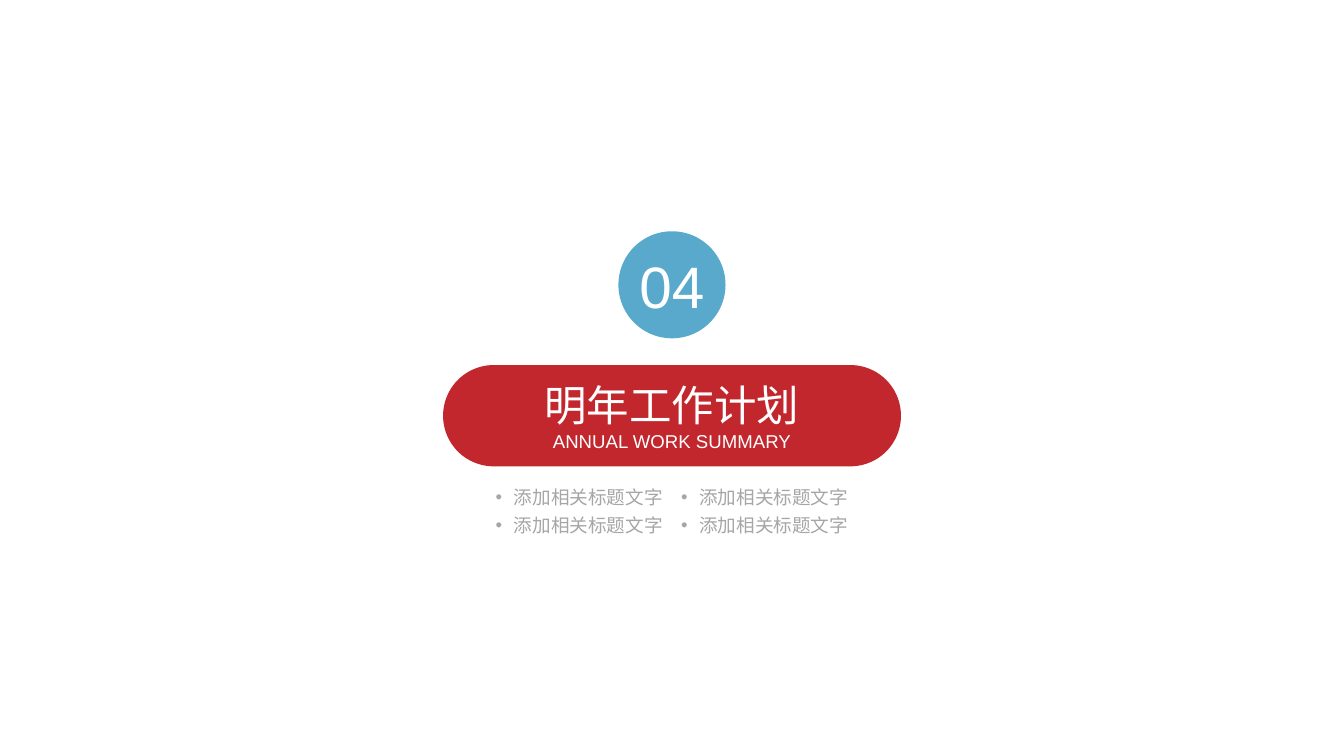
"""Build the section slide for part 04, next year's work plan."""
from dataclasses import dataclass
from itertools import product

from lxml.etree import SubElement
from pptx import Presentation
from pptx.dml.color import RGBColor
from pptx.enum.shapes import MSO_SHAPE
from pptx.enum.text import MSO_ANCHOR, MSO_AUTO_SIZE, PP_ALIGN
from pptx.oxml.ns import qn
from pptx.util import Emu, Inches, Pt

WIDTH, HEIGHT = Inches(14.06), Inches(7.91)
RED, BLUE, WHITE, GREY = "C1272D", "58A9CC", "FFFFFF", "A6A6A6"


@dataclass(frozen=True)
class Box:
    """A horizontally centred area, in percent of the slide's size."""
    top: float
    width: float
    height: float
    centre: float = 50

    def frame(self) -> tuple[Emu, Emu, Emu, Emu]:
        """Return left, top, width and height as lengths."""
        return (Emu(int(WIDTH * (self.centre - self.width / 2) / 100)),
                Emu(int(HEIGHT * self.top / 100)),
                Emu(int(WIDTH * self.width / 100)),
                Emu(int(HEIGHT * self.height / 100)))


PILL = Box(48.29, 34.07, 13.4)
BADGE = Box(30.59, 7.97, 14.16)
TITLE = Box(50.06, 19.7, 9.73)
ITEMS = [Box(64.22 + 3.8 * row, 12.52, 3.03, 50 + 6.9 * side)
         for row, side in product((0, 1), (-1, 1))]


def rgb(colour: str) -> RGBColor:
    """Turn a hex string into a colour."""
    return RGBColor.from_string(colour)


def add_filled(s, kind: MSO_SHAPE, box: Box, colour: str):
    """Add a flat shape without outline."""
    sp = s.shapes.add_shape(kind, *box.frame())
    sp.shadow.inherit = False
    sp.fill.solid()
    sp.fill.fore_color.rgb = rgb(colour)
    sp.line.fill.background()
    return sp


def place(sp, box: Box) -> None:
    """Move a placeholder into its box."""
    sp.left, sp.top, sp.width, sp.height = box.frame()


def write(sp, *runs: tuple[str, float], colour: str = WHITE,
          anchor: MSO_ANCHOR = MSO_ANCHOR.MIDDLE, wrap: bool = True,
          fit: MSO_AUTO_SIZE = MSO_AUTO_SIZE.SHAPE_TO_FIT_TEXT):
    """Write runs of text and size as one centred paragraph."""
    tf = sp.text_frame
    tf.margin_left = tf.margin_top = tf.margin_right = tf.margin_bottom = 0
    tf.vertical_anchor, tf.word_wrap, tf.auto_size = anchor, wrap, fit
    p = tf.paragraphs[0]
    p.alignment = PP_ALIGN.CENTER
    p.space_before = Pt(0)
    for text, size in runs:
        r = p.add_run()
        r.text = text
        r.font.name, r.font.size, r.font.bold = "Arial", Pt(size), False
        r.font.color.rgb = rgb(colour)
    return p


def add_bullet(p, indent: Emu) -> None:
    """Give a paragraph a hanging bullet."""
    pPr = p._p.get_or_add_pPr()
    pPr.set("marL", str(indent))
    pPr.set("indent", str(-indent))
    SubElement(pPr, qn("a:buFont")).set("typeface", "Arial")
    SubElement(pPr, qn("a:buChar")).set("char", "•")


def main() -> None:
    """Build and save the slide."""
    prs = Presentation()
    prs.slide_width, prs.slide_height = WIDTH, HEIGHT
    s = prs.slides.add_slide(prs.slide_layouts.get_by_name("Comparison"))
    title, *items = s.placeholders

    pill = add_filled(s, MSO_SHAPE.ROUNDED_RECTANGLE, PILL, RED)
    pill.adjustments[0] = 0.5
    title.element.addprevious(pill.element)

    badge = add_filled(s, MSO_SHAPE.OVAL, BADGE, BLUE)
    write(badge, ("04", 44), fit=MSO_AUTO_SIZE.NONE)

    place(title, TITLE)
    write(title, ("明年工作计划", 32), ("ANNUAL WORK SUMMARY", 14))

    for item, box in zip(items, ITEMS):
        place(item, box)
        p = write(item, ("添加相关标题文字", 14), colour=GREY,
                  anchor=MSO_ANCHOR.TOP, wrap=False)
        add_bullet(p, Inches(0.19))

    prs.save("out.pptx")


if __name__ == "__main__":
    main()
